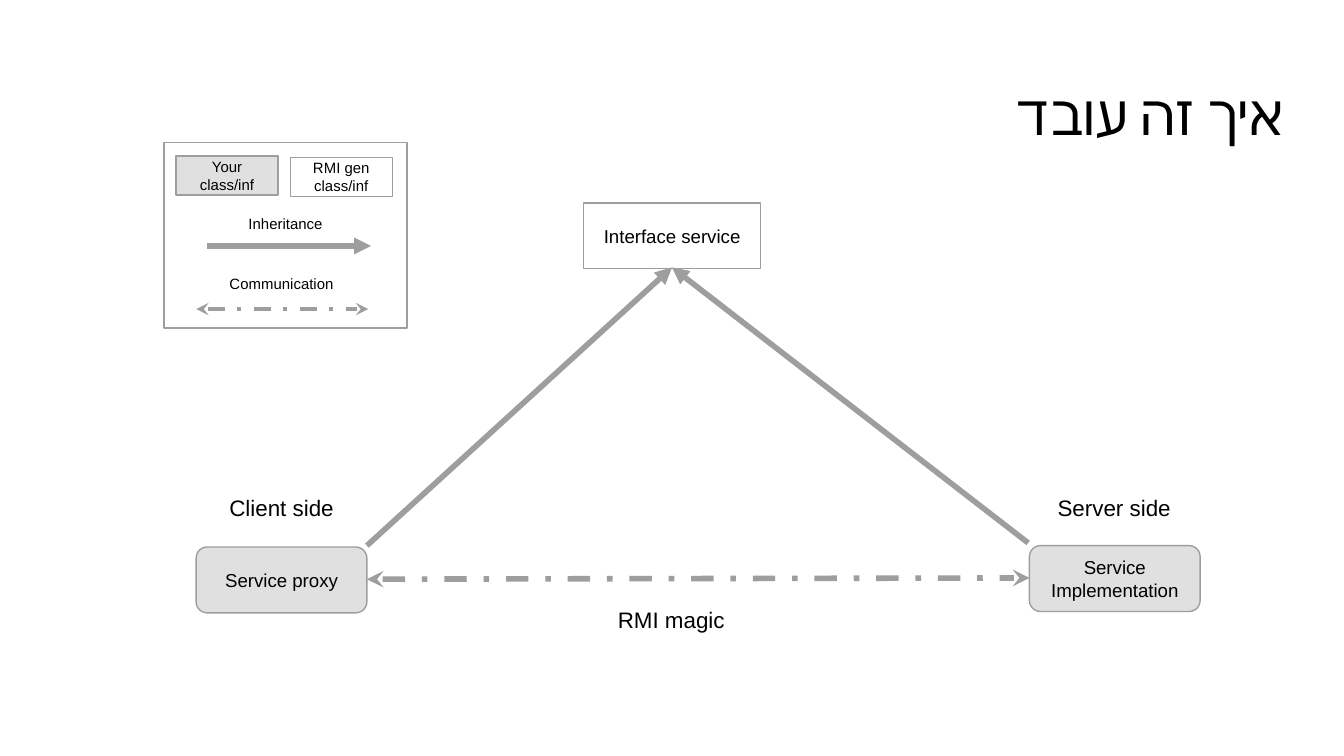
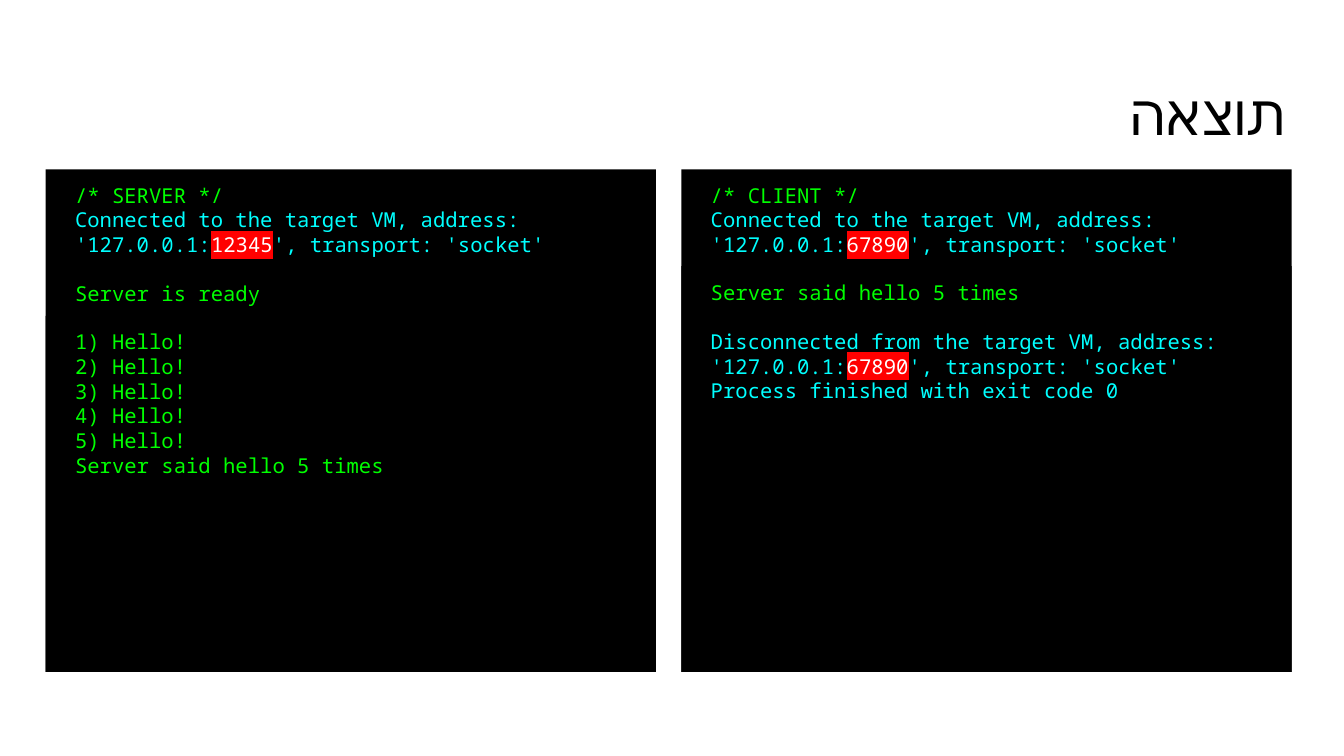
from lxml import etree
from pptx import Presentation
from pptx.dml.color import RGBColor
from pptx.enum.dml import MSO_LINE
from pptx.enum.shapes import MSO_CONNECTOR, MSO_SHAPE
from pptx.enum.text import MSO_ANCHOR, MSO_AUTO_SIZE, PP_ALIGN
from pptx.oxml.ns import qn
from pptx.util import Inches, Pt

RECT, ROUND = MSO_SHAPE.RECTANGLE, MSO_SHAPE.ROUNDED_RECTANGLE
LINE, CURVE = MSO_CONNECTOR.STRAIGHT, MSO_CONNECTOR.CURVE
DASH = MSO_LINE.DASH_DOT
TOP, MID = MSO_ANCHOR.TOP, MSO_ANCHOR.MIDDLE
LEFT, CENTER, RIGHT = PP_ALIGN.LEFT, PP_ALIGN.CENTER, PP_ALIGN.RIGHT
FIXED = MSO_AUTO_SIZE.NONE

COLORS = {"ink": "000000", "paper": "FFFFFF", "gray": "9E9E9E", "own": "E0E0E0",
          "green": "00FF00", "cyan": "00FFFF", "red": "FF0000"}
SANS, MONO, HEAD = "Arial", "Noto Sans Mono", "Calibri"
WIDE, EDGE, PAD = 10, 0.34, 0.1
HIGH = WIDE * 9 / 16

TITLES = ["איך זה עובד", "תוצאה"]

NODES = [
    ("Interface service", RECT, "paper", 10, (4.34, 1.51, 1.32, 0.49)),
    ("Service proxy", ROUND, "own", 10, (1.46, 4.07, 1.27, 0.49)),
    ("Service Implementation", ROUND, "own", 10, (7.66, 4.06, 1.27, 0.49)),
    ("Your class/inf", RECT, "own", 8, (1.31, 1.16, 0.76, 0.29)),
    ("RMI gen class/inf", RECT, "paper", 8, (2.16, 1.17, 0.76, 0.29)),
]
LABELS = [
    ("Server side", 12, LEFT, (7.77, 3.58, 1.05, 0.34)),
    ("Client side", 12, CENTER, (1.57, 3.58, 1.05, 0.34)),
    ("RMI magic", 12, CENTER, (4.47, 4.41, 1.05, 0.34)),
    ("Inheritance", 8, CENTER, (1.33, 1.5, 1.59, 0.29)),
    ("Communication", 8, CENTER, (1.3, 1.94, 1.59, 0.29)),
]
APEX = (5, 1.99)
ARROWS = [
    (LINE, (2.73, 4.06), APEX, 3, False),
    (LINE, (7.65, 4.04), APEX, 3, False),
    (LINE, (2.73, 4.31), (7.66, 4.3), 3, True),
    (LINE, (1.54, 1.83), (2.76, 1.83), 3, False),
    (CURVE, (1.46, 2.3), (2.74, 2.3), 2.25, True),
]
FRAME = (1.22, 1.06, 1.81, 1.38)


def plain(text, color="green"):
    return [(text, color)]


def link(verb, port):
    return [(f"{verb} the target VM, address: '127.0.0.1:", "cyan"),
            (port, "paper"), ("', transport: 'socket'", "cyan")]


SAID = "Server said hello 5 times"
GAP = []
TERM_TOP, TERM_END, TERM_WIDE = 1.26, 5, 4.54
COLUMNS = [EDGE, 5.07]
PANES = [
    (0, TERM_TOP, [plain("/* SERVER */"), link("Connected to", "12345"),
                   GAP, plain("Server is ready")]),
    (1, TERM_TOP, [plain("/* CLIENT */"), link("Connected to", "67890")]),
    (0, 2.35, [plain(f"{n}) Hello!") for n in range(1, 6)] + [plain(SAID)]),
    (1, 1.98, [plain(SAID), GAP, link("Disconnected from", "67890"),
               plain("Process finished with exit code 0", "cyan")]),
]


def rgb(name):
    return RGBColor.from_string(COLORS[name])


def inches(box):
    return [Inches(v) for v in box]


def style(run, size, face, color="ink"):
    font = run.font
    font.size, font.name = Pt(size), face
    font.color.rgb = rgb(color)


def setup(frame, anchor=TOP):
    frame.word_wrap = True
    frame.auto_size = FIXED
    frame.vertical_anchor = anchor
    frame.margin_left = frame.margin_right = Inches(PAD)
    frame.margin_top = frame.margin_bottom = Inches(PAD)


def write(frame, text, size, align, anchor=TOP):
    setup(frame, anchor)
    frame.text = text
    par = frame.paragraphs[0]
    par.alignment = align
    style(par.runs[0], size, SANS)


def block(slide, kind, box, fill=None, edge=None):
    shape = slide.shapes.add_shape(kind, *inches(box))
    shape.shadow.inherit = False
    if fill:
        shape.fill.solid()
        shape.fill.fore_color.rgb = rgb(fill)
    else:
        shape.fill.background()
    if edge:
        shape.line.color.rgb = rgb(edge)
        shape.line.width = Pt(0.75)
    else:
        shape.line.fill.background()
    return shape


def arrow(slide, kind, start, end, width, talk):
    wire = slide.shapes.add_connector(kind, *inches(start + end))
    wire.line.color.rgb = rgb("gray")
    wire.line.width = Pt(width)
    if talk:
        wire.line.dash_style = DASH
    props = wire._element.spPr
    stroke = props.find(qn("a:ln"))
    tip = "stealth" if talk else "triangle"
    for end_tag in ["a:headEnd", "a:tailEnd"] if talk else ["a:tailEnd"]:
        etree.SubElement(stroke, qn(end_tag), type=tip)
    etree.SubElement(props, qn("a:effectLst"))


def mark(run):
    props = run._r.get_or_add_rPr()
    light = etree.Element(qn("a:highlight"))
    etree.SubElement(light, qn("a:srgbClr"), val=COLORS["red"])
    props.find(qn("a:solidFill")).addnext(light)


def pane(slide, col, top, lines):
    box = (COLUMNS[col], top, TERM_WIDE, TERM_END - top)
    frame = block(slide, RECT, box, "ink").text_frame
    setup(frame)
    par, skip = None, False
    for line in lines:
        if not line:
            skip = True
            continue
        par = frame.add_paragraph() if par else frame.paragraphs[0]
        par.alignment = LEFT
        par.space_before = Pt(13.2 if skip else 0)
        par._p.get_or_add_pPr().set("marL", str(Inches(0.12)))
        skip = False
        for text, color in line:
            run = par.add_run()
            run.text = text
            style(run, 11, MONO, color)
            if color == "paper":
                mark(run)


def page(deck, title):
    slide = deck.slides.add_slide(deck.slide_layouts[5])
    head = slide.shapes.title
    head.left, head.top, head.width, head.height = inches(
        (EDGE, 0.49, WIDE - 2 * EDGE, 0.63))
    setup(head.text_frame)
    head.text_frame.text = title
    par = head.text_frame.paragraphs[0]
    par.alignment = RIGHT
    par._p.get_or_add_pPr().set("rtl", "1")
    run = par.runs[0]
    style(run, 30, HEAD)
    etree.SubElement(run._r.get_or_add_rPr(), qn("a:cs"), typeface=HEAD)
    return slide


def main():
    deck = Presentation()
    deck.slide_width, deck.slide_height = inches((WIDE, HIGH))
    chart, result = [page(deck, title) for title in TITLES]
    for text, kind, fill, size, box in NODES:
        node = block(chart, kind, box, fill, "gray")
        write(node.text_frame, text, size, CENTER, MID)
    for text, size, align, box in LABELS:
        label = chart.shapes.add_textbox(*inches(box))
        write(label.text_frame, text, size, align)
    for item in ARROWS:
        arrow(chart, *item)
    block(chart, RECT, FRAME, edge="gray")
    for item in PANES:
        pane(result, *item)
    deck.save("out.pptx")


if __name__ == "__main__":
    main()
